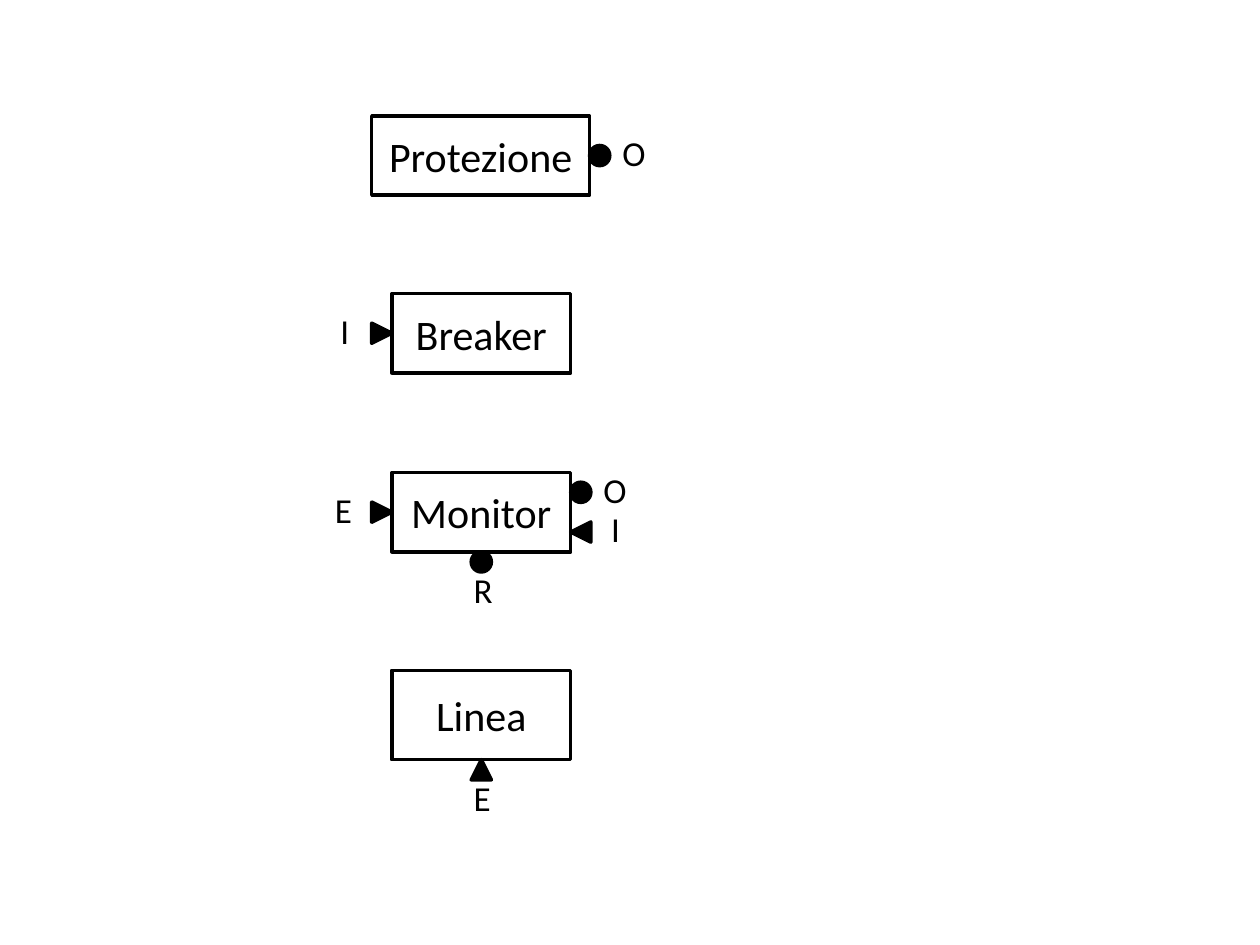
from dataclasses import dataclass

from pptx import Presentation
from pptx.dml.color import RGBColor
from pptx.enum.shapes import MSO_SHAPE
from pptx.enum.text import MSO_ANCHOR, MSO_AUTO_SIZE, PP_ALIGN
from pptx.util import Inches, Pt


@dataclass(frozen=True)
class Theme:
    ink: RGBColor = RGBColor(0, 0, 0)
    paper: RGBColor = RGBColor(255, 255, 255)
    font: str = "Calibri"
    block_size: int = 24
    label_size: int = 20
    line_width: int = 2


@dataclass(frozen=True)
class Port:
    side: str
    position: float  # fraction along the side
    is_output: bool
    label: str
    align: PP_ALIGN = PP_ALIGN.LEFT
    label_gap: float = 0


THEME = Theme()
PORT_SIZE = 0.16
LABEL_WIDTH, LABEL_HEIGHT = 0.39, 0.44
INPUT_ROTATION = {"left": 90, "right": 270, "bottom": 0}


def set_text(holder, text, size, align):
    paragraph = holder.text_frame.paragraphs[0]
    paragraph.text = text
    paragraph.alignment = align
    font = paragraph.runs[0].font
    font.name, font.size = THEME.font, Pt(size)
    font.color.rgb = THEME.ink


def add_outlined(slide, preset, box, fill):
    shape = slide.shapes.add_shape(preset, *map(Inches, box))
    shape.shadow.inherit = False
    shape.fill.solid()
    shape.fill.fore_color.rgb = fill
    shape.line.color.rgb = THEME.ink
    shape.line.width = Pt(THEME.line_width)
    return shape


def add_port(slide, block_box, port):
    left, top, width, height = block_box
    half = PORT_SIZE / 2

    # Marker and label positions on the chosen side
    if port.side == "bottom":
        x, y = left + width * port.position - half, top + height
        label_x, label_y = x - half, y + half
    else:
        y = top + height * port.position - half
        label_y = y - PORT_SIZE
        if port.side == "right":
            x = left + width
            label_x = x + PORT_SIZE + port.label_gap
        else:
            x = left - PORT_SIZE
            label_x = x - LABEL_WIDTH - port.label_gap

    # Circle for an output, triangle pointing at the block for an input
    preset = MSO_SHAPE.OVAL if port.is_output else MSO_SHAPE.ISOSCELES_TRIANGLE
    marker = add_outlined(slide, preset, (x, y, PORT_SIZE, PORT_SIZE), THEME.ink)
    if not port.is_output:
        marker.rotation = INPUT_ROTATION[port.side]

    label = slide.shapes.add_textbox(
        *map(Inches, (label_x, label_y, LABEL_WIDTH, LABEL_HEIGHT)))
    label.text_frame.word_wrap = True
    label.text_frame.auto_size = MSO_AUTO_SIZE.SHAPE_TO_FIT_TEXT
    set_text(label, port.label, THEME.label_size, port.align)


def add_block(slide, box, name, ports):
    block = add_outlined(slide, MSO_SHAPE.RECTANGLE, box, THEME.paper)
    block.text_frame.word_wrap = True
    block.text_frame.vertical_anchor = MSO_ANCHOR.MIDDLE
    set_text(block, name, THEME.block_size, PP_ALIGN.CENTER)
    for port in ports:
        add_port(slide, box, port)


# Blocks with their ports, from top to bottom
BLOCKS = [
    ("Protezione", (2.95, 0.92, 1.73, 0.63), [Port("right", 0.5, True, "O")]),
    ("Breaker", (3.11, 2.33, 1.42, 0.63),
     [Port("left", 0.5, False, "I", PP_ALIGN.RIGHT, 0.08)]),
    ("Monitor", (3.11, 3.75, 1.42, 0.63), [
        Port("left", 0.5, False, "E"),
        Port("right", 0.25, True, "O"),
        Port("right", 0.75, False, "I", PP_ALIGN.CENTER),
        Port("bottom", 0.5, True, "R"),
    ]),
    ("Linea", (3.11, 5.32, 1.42, 0.71), [Port("bottom", 0.5, False, "E")]),
]

presentation = Presentation()
presentation.slide_width, presentation.slide_height = Inches(10), Inches(7.5)
diagram = presentation.slides.add_slide(presentation.slide_layouts[6])
for name, box, ports in BLOCKS:
    add_block(diagram, box, name, ports)
presentation.save("out.pptx")
